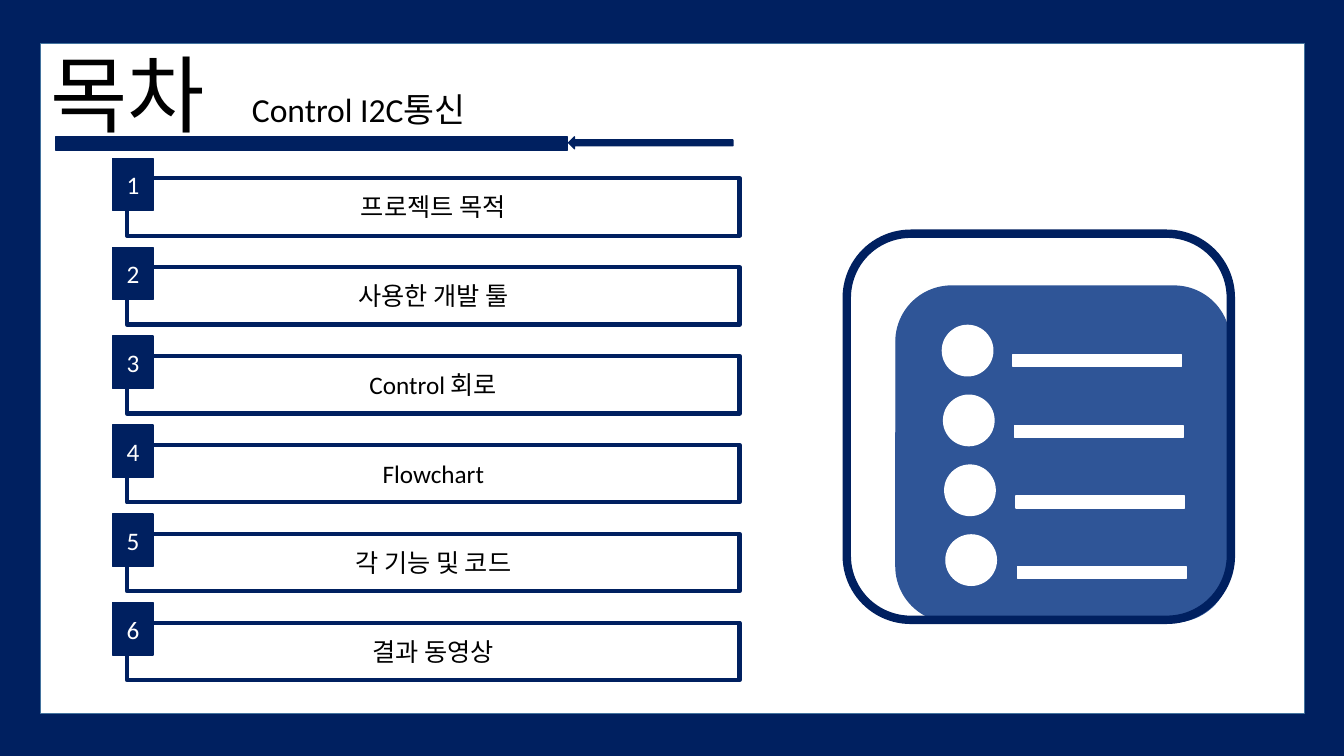
from pptx import Presentation
from pptx.dml.color import RGBColor
from pptx.enum.shapes import MSO_SHAPE
from pptx.enum.text import MSO_ANCHOR, PP_ALIGN
from pptx.util import Cm, Pt

RECT = MSO_SHAPE.RECTANGLE
ROUND = MSO_SHAPE.ROUNDED_RECTANGLE
ARROW = MSO_SHAPE.LEFT_ARROW
DOT = MSO_SHAPE.FLOWCHART_CONNECTOR
MIDDLE, BOTTOM, TOP = MSO_ANCHOR.MIDDLE, MSO_ANCHOR.BOTTOM, MSO_ANCHOR.TOP
CENTER, LEFT = PP_ALIGN.CENTER, PP_ALIGN.LEFT


class Theme:
    navy = RGBColor(0x00, 0x20, 0x60)
    blue = RGBColor(0x2F, 0x55, 0x97)
    edge = RGBColor(0x43, 0x73, 0x9E)
    white = RGBColor(0xFF, 0xFF, 0xFF)
    black = RGBColor(0x00, 0x00, 0x00)
    font = "Calibri"
    title, subtitle, body = Pt(60), Pt(24), Pt(18)


def add_box(shapes, kind, at, fill, line, weight=1):
    sp = shapes.add_shape(kind, *[Cm(v) for v in at])
    sp.shadow.inherit = False
    if fill is None:
        sp.fill.background()
    else:
        sp.fill.solid()
        sp.fill.fore_color.rgb = fill
    sp.line.color.rgb = line
    sp.line.width = Pt(weight)
    return sp


def write(sp, text, size, color, align=CENTER, anchor=MIDDLE):
    tf = sp.text_frame
    tf.word_wrap = True
    tf.vertical_anchor = anchor
    p = tf.paragraphs[0]
    p.text = text
    p.alignment = align
    p.font.name = Theme.font
    p.font.size = size
    p.font.color.rgb = color
    return p


prs = Presentation()
prs.slide_width, prs.slide_height = Cm(33.87), Cm(19.05)
s = prs.slides.add_slide(prs.slide_layouts[6])
s.background.fill.solid()
s.background.fill.fore_color.rgb = Theme.navy

add_box(s.shapes, RECT, (1.02, 1.09, 31.85, 16.89), Theme.white, Theme.edge)

title = s.shapes.add_textbox(Cm(1.02), Cm(0.08), Cm(29.21), Cm(3.68))
p = write(title, "목차", Theme.title, Theme.black, LEFT, BOTTOM)
p.line_spacing = 0.9

subtitle = s.shapes.add_textbox(Cm(3.45), Cm(2.24), Cm(11.18), Cm(1.57))
p = write(subtitle, "Control I2C통신", Theme.subtitle, Theme.black, anchor=TOP)
p.line_spacing = 0.9
p.space_before = Pt(10)

add_box(s.shapes, RECT, (1.4, 3.45, 12.9, 0.33), Theme.navy, Theme.navy)
add_box(s.shapes, ARROW, (14.33, 3.45, 4.14, 0.3), Theme.navy, Theme.navy)

icon = s.shapes.add_group_shape().shapes
add_box(icon, ROUND, (22.58, 7.21, 8.41, 8.46), Theme.blue, Theme.blue)
add_box(icon, ROUND, (21.34, 5.89, 9.68, 9.73), None, Theme.navy, 6)
for i in range(4):
    add_box(icon, DOT, (23.75 + 0.03 * i, 8.2 + 1.76 * i, 1.27, 1.27), Theme.white, Theme.white)
    add_box(icon, RECT, (25.53 + 0.04 * i, 8.94 + 1.78 * i, 4.24, 0.3), Theme.white, Theme.white)

items = ["프로젝트 목적", "사용한 개발 툴", "Control 회로", "Flowchart", "각 기능 및 코드", "결과 동영상"]
agenda = s.shapes.add_group_shape().shapes
for i, item in enumerate(items):
    y = 3.99 + 2.24 * i
    bar = add_box(agenda, RECT, (3.2, y + 0.5, 15.44, 1.45), Theme.white, Theme.navy, 3)
    write(bar, item, Theme.body, Theme.black)
    badge = add_box(agenda, RECT, (2.84, y, 1.02, 1.32), Theme.navy, Theme.navy)
    write(badge, str(i + 1), Theme.body, Theme.white)

prs.save("out.pptx")
